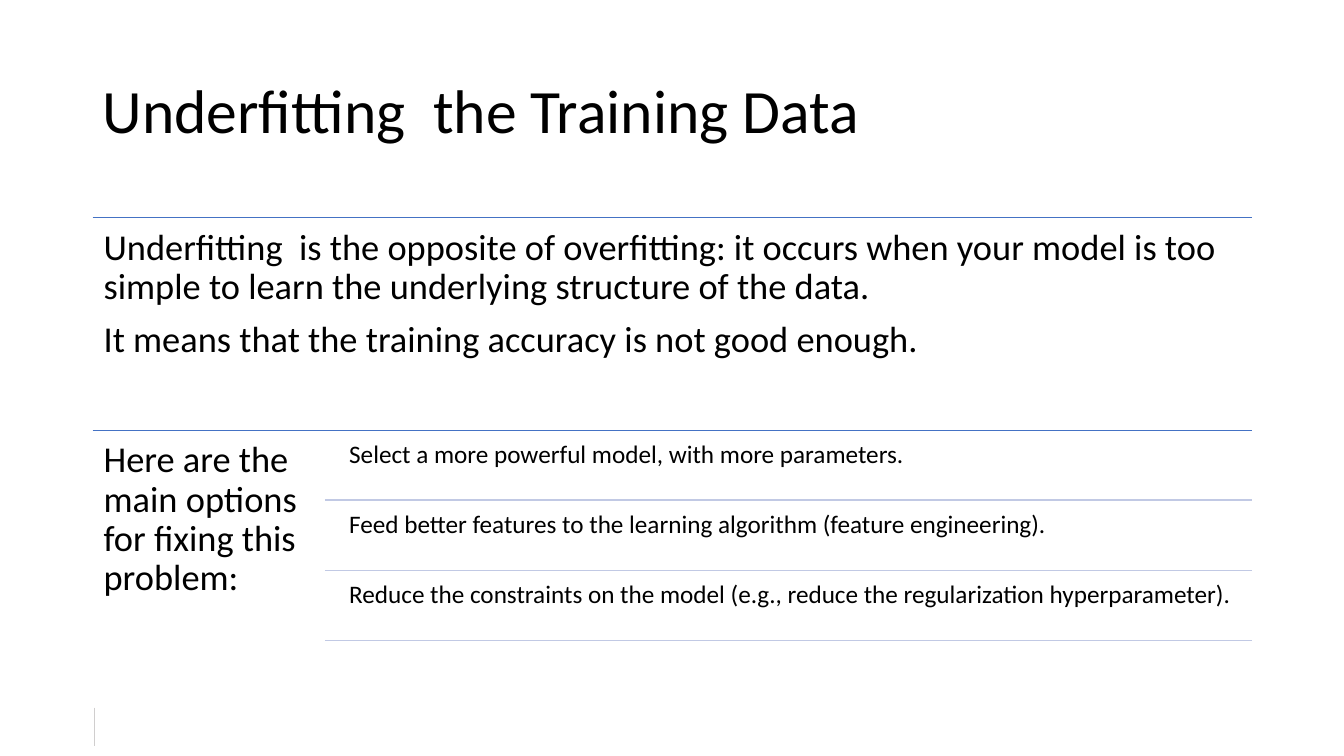
import pptx
import pptx.util
import pptx.dml.color
import pptx.enum.shapes
import pptx.enum.text
import pptx.oxml.ns
import lxml.etree

Pt = pptx.util.Pt
BLACK = pptx.dml.color.RGBColor(0x00, 0x00, 0x00)
BLUE = pptx.dml.color.RGBColor(0x44, 0x72, 0xC4)
PALE_BLUE = pptx.dml.color.RGBColor(0xC1, 0xC9, 0xE4)
GREY = pptx.dml.color.RGBColor(0xD0, 0xCE, 0xCE)

LEFT = 66.24
RIGHT = 894.24
WIDTH = RIGHT - LEFT
DEFINITION_TOP = 155.5
SECTION_HEIGHT = 152
OPTIONS_TOP = DEFINITION_TOP + SECTION_HEIGHT
OPTIONS_RULE_LEFT = 232
OPTION_LEFT = 244
OPTION_HEIGHT = 47.5
OPTION_PITCH = 50

DEFINITION = [
    "Underfitting  is the opposite of overfitting: it occurs when your model "
    "is too simple to learn the underlying structure of the data.",
    "It means that the training accuracy is not good enough.",
]
OPTIONS_LEAD = "Here are the main options for fixing this problem:"
OPTIONS = [
    "Select a more powerful model, with more parameters.",
    "Feed better features to the learning algorithm (feature engineering).",
    "Reduce the constraints on the model (e.g., reduce the regularization hyperparameter).",
]


class SlideWriter:
    font = "Calibri"
    line_spacing = 0.9

    def __init__(self, slide):
        self.slide = slide

    def text(self, left, top, width, height, paragraphs, size, inset, space_after=0,
             anchor=pptx.enum.text.MSO_ANCHOR.TOP):
        box = self.slide.shapes.add_textbox(Pt(left), Pt(top), Pt(width), Pt(height))
        frame = box.text_frame
        frame.word_wrap = True
        frame.vertical_anchor = anchor
        frame.margin_left = frame.margin_right = Pt(inset)
        frame.margin_top = frame.margin_bottom = Pt(inset)
        for index, wording in enumerate(paragraphs):
            paragraph = frame.add_paragraph() if index else frame.paragraphs[0]
            paragraph.line_spacing = self.line_spacing
            paragraph.space_after = Pt(space_after)
            run = paragraph.add_run()
            run.text = wording
            run.font.name = self.font
            run.font.size = Pt(size)
            run.font.color.rgb = BLACK

    def rule(self, x1, y1, x2, y2, color, weight=1):
        line = self.slide.shapes.add_connector(
            pptx.enum.shapes.MSO_CONNECTOR.STRAIGHT, Pt(x1), Pt(y1), Pt(x2), Pt(y2))
        line.line.color.rgb = color
        line.line.width = Pt(weight)
        lxml.etree.SubElement(line._element.spPr, pptx.oxml.ns.qn("a:effectLst"))


def main():
    presentation = pptx.Presentation()
    presentation.slide_width = Pt(960)
    presentation.slide_height = Pt(540)
    writer = SlideWriter(presentation.slides.add_slide(presentation.slide_layouts[6]))

    writer.rule(67.7, 505.4, 67.7, 532.8, GREY, 0.5)
    writer.text(LEFT, 28.8, WIDTH, 104.4, ["Underfitting  the Training Data"], 44, 7.2,
                anchor=pptx.enum.text.MSO_ANCHOR.MIDDLE)

    sections = [
        (DEFINITION_TOP, WIDTH, DEFINITION),
        (OPTIONS_TOP, OPTIONS_RULE_LEFT - LEFT, [OPTIONS_LEAD]),
    ]
    for top, width, paragraphs in sections:
        writer.rule(LEFT, top, RIGHT, top, BLUE)
        writer.text(LEFT, top, width, SECTION_HEIGHT, paragraphs, 26, 7.8, 10)

    for index, option in enumerate(OPTIONS):
        top = OPTIONS_TOP + 2.3 + index * OPTION_PITCH
        bottom = top + OPTION_HEIGHT
        writer.text(OPTION_LEFT, top, RIGHT - OPTION_LEFT, OPTION_HEIGHT, [option], 18, 5.4, 7)
        writer.rule(OPTIONS_RULE_LEFT, bottom, RIGHT, bottom, PALE_BLUE)

    presentation.save("out.pptx")


if __name__ == "__main__":
    main()
